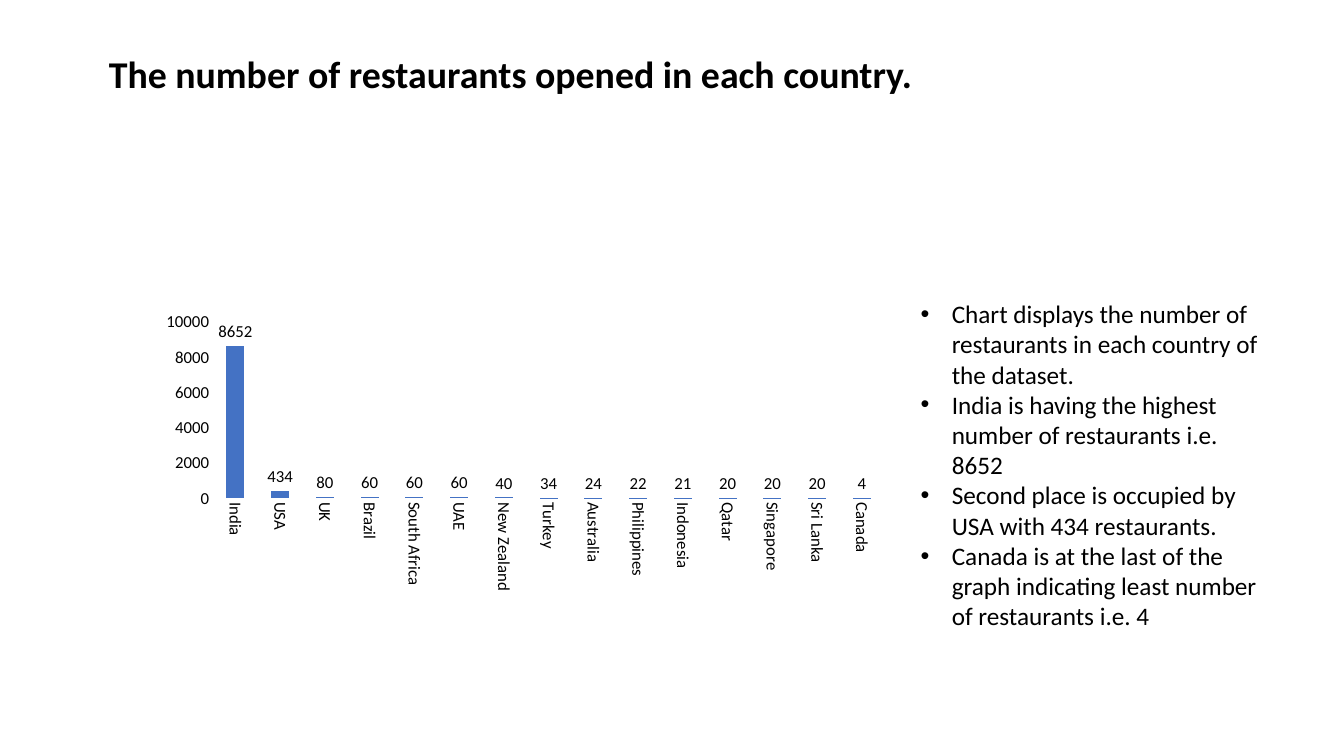
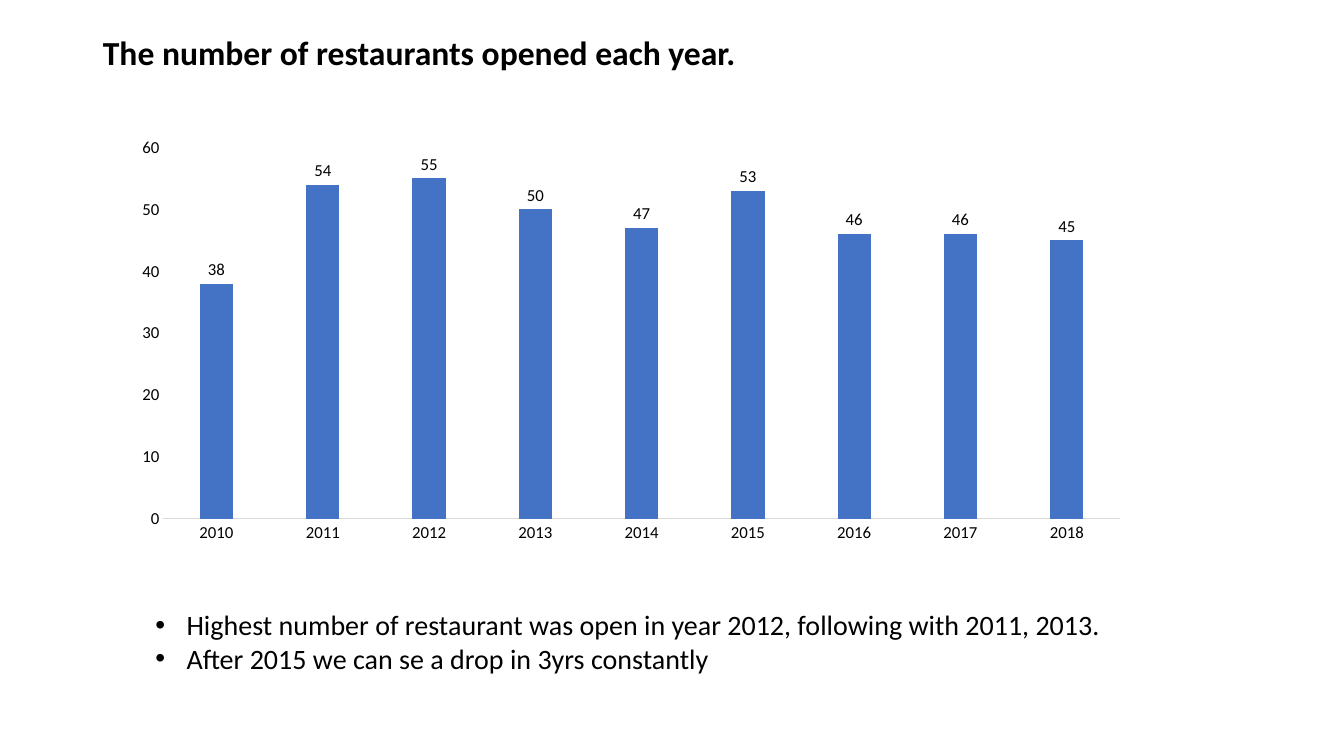
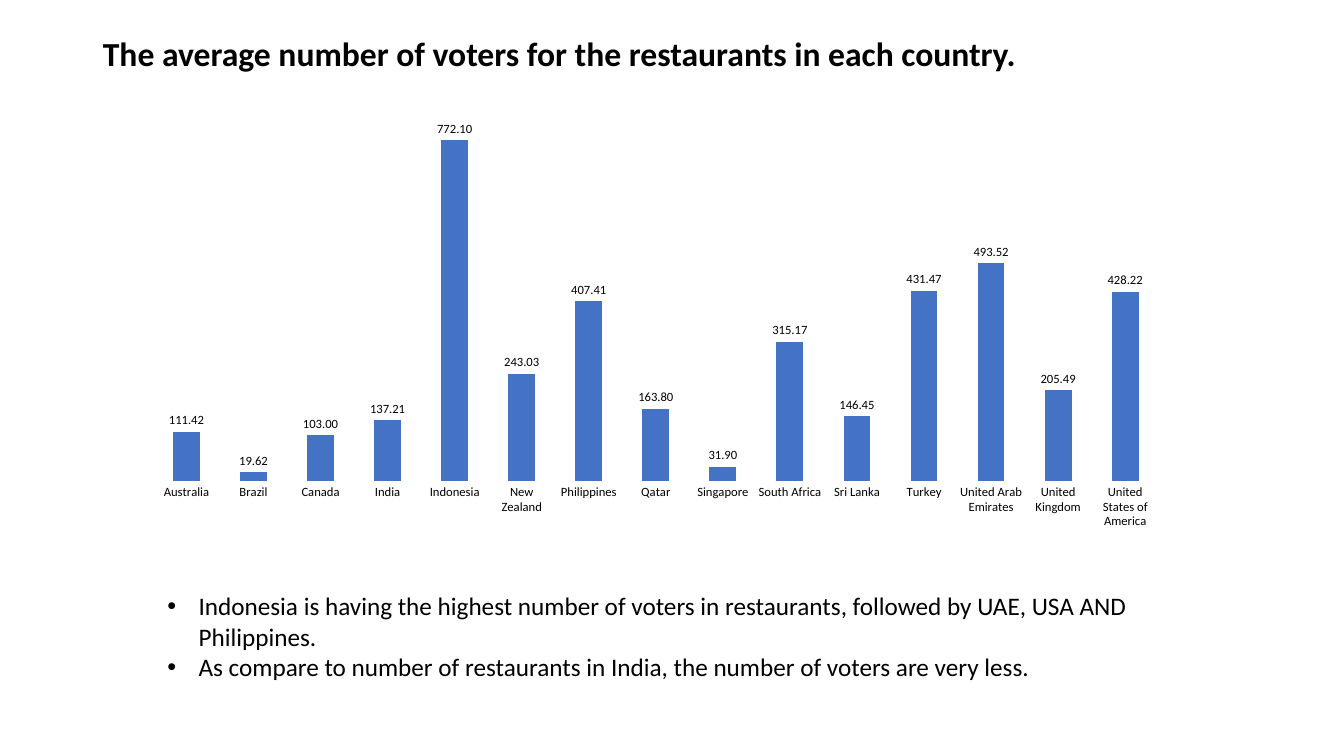
from dataclasses import dataclass

from lxml.etree import SubElement
from pptx import Presentation
from pptx.chart.chart import Chart
from pptx.chart.data import CategoryChartData
from pptx.dml.color import RGBColor
from pptx.enum.chart import XL_CHART_TYPE as ChartType
from pptx.enum.chart import XL_LABEL_POSITION as LabelPosition
from pptx.enum.chart import XL_TICK_MARK as TickMark
from pptx.enum.text import MSO_ANCHOR as Anchor
from pptx.enum.text import MSO_AUTO_SIZE as AutoSize
from pptx.enum.text import PP_ALIGN as Align
from pptx.oxml import parse_xml
from pptx.oxml.ns import nsdecls, qn
from pptx.presentation import Presentation as Deck
from pptx.shapes.placeholder import SlidePlaceholder as Placeholder
from pptx.slide import Slide
from pptx.text.text import Font
from pptx.util import Inches, Pt

COLORS = {"text": "000000", "bar": "4472C4", "axis": "D9D9D9", "background": "FFFFFF"}
FONT = "Calibri"
TITLE_AND_CONTENT = 1
BULLET_INDENT = Inches(0.31)


@dataclass(frozen=True)
class Box:
    """Position and size in inches."""
    left: float
    top: float
    width: float
    height: float

    def lengths(self) -> tuple[Inches, Inches, Inches, Inches]:
        return Inches(self.left), Inches(self.top), Inches(self.width), Inches(self.height)


@dataclass(frozen=True)
class ColumnChart:
    box: Box
    values: dict[str, float]
    maximum: float
    major_unit: float
    text_size: int = 12
    gap_width: int = 150
    overlap: int = 0
    number_format: str = "General"
    value_axis_visible: bool = True
    category_line: bool = False
    vertical_labels: bool = False
    plot_area: Box | None = None  # fractions of the chart's size


@dataclass(frozen=True)
class ChartSlide:
    title: str
    title_box: Box
    title_size: int
    chart: ColumnChart
    bullets: tuple[str, ...]
    bullets_box: Box
    bullets_size: int


SLIDES = (
    ChartSlide(
        title="The number of restaurants opened in each country.",
        title_box=Box(0.98, 0.5, 11.81, 0.7),
        title_size=27,
        chart=ColumnChart(
            box=Box(1.29, 2.64, 7.48, 3.97),
            values={
                "India": 8652, "USA": 434, "UK": 80, "Brazil": 60, "South Africa": 60,
                "UAE": 60, "New Zealand": 40, "Turkey": 34, "Australia": 24,
                "Philippines": 22, "Indonesia": 21, "Qatar": 20, "Singapore": 20,
                "Sri Lanka": 20, "Canada": 4,
            },
            maximum=10000,
            major_unit=2000,
            vertical_labels=True,
            plot_area=Box(0.11, 0.14, 0.89, 0.44),
        ),
        bullets=(
            "Chart displays the number of restaurants in each country of the dataset.",
            "India is having the highest number of restaurants i.e. 8652",
            "Second place is occupied by USA with 434 restaurants.",
            "Canada is at the last of the graph indicating least number of restaurants i.e. 4",
        ),
        bullets_box=Box(9.03, 2.91, 3.7, 3.43),
        bullets_size=18,
    ),
    ChartSlide(
        title="The number of restaurants opened each year.",
        title_box=Box(0.92, 0.31, 11.5, 0.7),
        title_size=24,
        chart=ColumnChart(
            box=Box(1.21, 1.28, 10.1, 4.19),
            values={
                "2010": 38, "2011": 54, "2012": 55, "2013": 50, "2014": 47,
                "2015": 53, "2016": 46, "2017": 46, "2018": 45,
            },
            maximum=60,
            major_unit=10,
            gap_width=219,
            overlap=-27,
            category_line=True,
        ),
        bullets=(
            "Highest number of restaurant was open in year 2012, following with 2011, 2013.",
            "After 2015 we can se a drop in 3yrs constantly",
        ),
        bullets_box=Box(1.44, 5.98, 9.71, 0.77),
        bullets_size=20,
    ),
    ChartSlide(
        title="The average number of voters for the restaurants in each country.",
        title_box=Box(0.92, 0.32, 11.5, 0.7),
        title_size=24,
        chart=ColumnChart(
            box=Box(1.31, 0.74, 10.39, 4.6),
            values={
                "Australia": 111.42, "Brazil": 19.62, "Canada": 103, "India": 137.21,
                "Indonesia": 772.1, "New Zealand": 243.03, "Philippines": 407.41,
                "Qatar": 163.8, "Singapore": 31.9, "South Africa": 315.17,
                "Sri Lanka": 146.45, "Turkey": 431.47, "United Arab Emirates": 493.52,
                "United Kingdom": 205.49, "United States of America": 428.22,
            },
            maximum=900,
            major_unit=100,
            text_size=9,
            number_format="#,##0.00",
            value_axis_visible=False,
        ),
        bullets=(
            "Indonesia is having the highest number of voters in restaurants, "
            "followed by UAE, USA AND Philippines.",
            "As compare to number of restaurants in India, the number of voters are very less.",
        ),
        bullets_box=Box(1.56, 5.81, 10.24, 1.31),
        bullets_size=18,
    ),
)


def color(name: str) -> RGBColor:
    return RGBColor.from_string(COLORS[name])


def style_font(font: Font, size: int, bold: bool = False) -> None:
    font.name = FONT
    font.size = Pt(size)
    font.bold = bold
    font.color.rgb = color("text")


def place(placeholder: Placeholder, box: Box) -> None:
    placeholder.left, placeholder.top, placeholder.width, placeholder.height = box.lengths()
    text_frame = placeholder.text_frame
    text_frame.word_wrap = True
    text_frame.auto_size = AutoSize.NONE
    text_frame.vertical_anchor = Anchor.TOP


def write_title(placeholder: Placeholder, content: ChartSlide) -> None:
    place(placeholder, content.title_box)
    placeholder.text_frame.text = content.title
    paragraph = placeholder.text_frame.paragraphs[0]
    paragraph.alignment = Align.LEFT
    paragraph.line_spacing = 0.9
    style_font(paragraph.runs[0].font, content.title_size, bold=True)


def write_bullets(placeholder: Placeholder, content: ChartSlide) -> None:
    place(placeholder, content.bullets_box)
    placeholder.text_frame.text = "\n".join(content.bullets)
    for paragraph in placeholder.text_frame.paragraphs:
        paragraph.space_before = Pt(0)
        properties = paragraph._p.get_or_add_pPr()
        properties.set("marL", str(BULLET_INDENT))
        properties.set("indent", str(-BULLET_INDENT))
        SubElement(properties, qn("a:buFont")).set("typeface", "Arial")
        SubElement(properties, qn("a:buChar")).set("char", "•")
        style_font(paragraph.runs[0].font, content.bullets_size)


def fix_plot_area(chart: Chart, area: Box) -> None:
    plot_area = chart._chartSpace.chart.plotArea
    for layout in plot_area.findall(qn("c:layout")):
        plot_area.remove(layout)
    plot_area.insert(0, parse_xml(
        f'<c:layout {nsdecls("c")}><c:manualLayout><c:layoutTarget val="inner"/>'
        f'<c:xMode val="edge"/><c:yMode val="edge"/>'
        f'<c:x val="{area.left}"/><c:y val="{area.top}"/>'
        f'<c:w val="{area.width}"/><c:h val="{area.height}"/>'
        f'</c:manualLayout></c:layout>'
    ))


def style_axes(chart: Chart, design: ColumnChart) -> None:
    category_axis, value_axis = chart.category_axis, chart.value_axis
    for axis in (category_axis, value_axis):
        axis.has_major_gridlines = False
        axis.major_tick_mark = axis.minor_tick_mark = TickMark.NONE
        axis.format.line.fill.background()
        style_font(axis.tick_labels.font, design.text_size)
    value_axis.minimum_scale = 0
    value_axis.maximum_scale = design.maximum
    value_axis.major_unit = design.major_unit
    value_axis.visible = design.value_axis_visible
    if design.category_line:
        category_axis.format.line.color.rgb = color("axis")
        category_axis.format.line.width = Pt(0.75)
    if design.vertical_labels:
        body = category_axis._element.find(qn("c:txPr")).find(qn("a:bodyPr"))
        body.set("rot", "5400000")
        body.set("vert", "horz")


def style_columns(chart: Chart, design: ColumnChart) -> None:
    plot = chart.plots[0]
    plot.gap_width = design.gap_width
    plot.overlap = design.overlap
    plot.vary_by_categories = False
    series = plot.series[0]
    series.format.fill.solid()
    series.format.fill.fore_color.rgb = color("bar")
    labels = series.data_labels
    labels.show_value = True
    labels.position = LabelPosition.OUTSIDE_END
    labels.number_format = design.number_format
    labels.number_format_is_linked = False
    style_font(labels.font, design.text_size)


def add_column_chart(slide: Slide, design: ColumnChart) -> None:
    data = CategoryChartData()
    data.categories = list(design.values)
    data.add_series("Series 1", list(design.values.values()))
    frame = slide.shapes.add_chart(ChartType.COLUMN_CLUSTERED, *design.box.lengths(), data)
    chart = frame.chart
    chart.has_title = False
    chart.has_legend = False
    style_font(chart.font, 10)
    style_axes(chart, design)
    style_columns(chart, design)
    if design.plot_area:
        fix_plot_area(chart, design.plot_area)


def add_chart_slide(presentation: Deck, content: ChartSlide) -> None:
    slide = presentation.slides.add_slide(presentation.slide_layouts[TITLE_AND_CONTENT])
    slide.background.fill.solid()
    slide.background.fill.fore_color.rgb = color("background")
    write_title(slide.shapes.title, content)
    add_column_chart(slide, content.chart)
    write_bullets(slide.placeholders[1], content)


def main() -> None:
    presentation = Presentation()
    presentation.slide_width = Inches(13.33)
    presentation.slide_height = Inches(7.5)
    for content in SLIDES:
        add_chart_slide(presentation, content)
    presentation.save("out.pptx")


if __name__ == "__main__":
    main()
